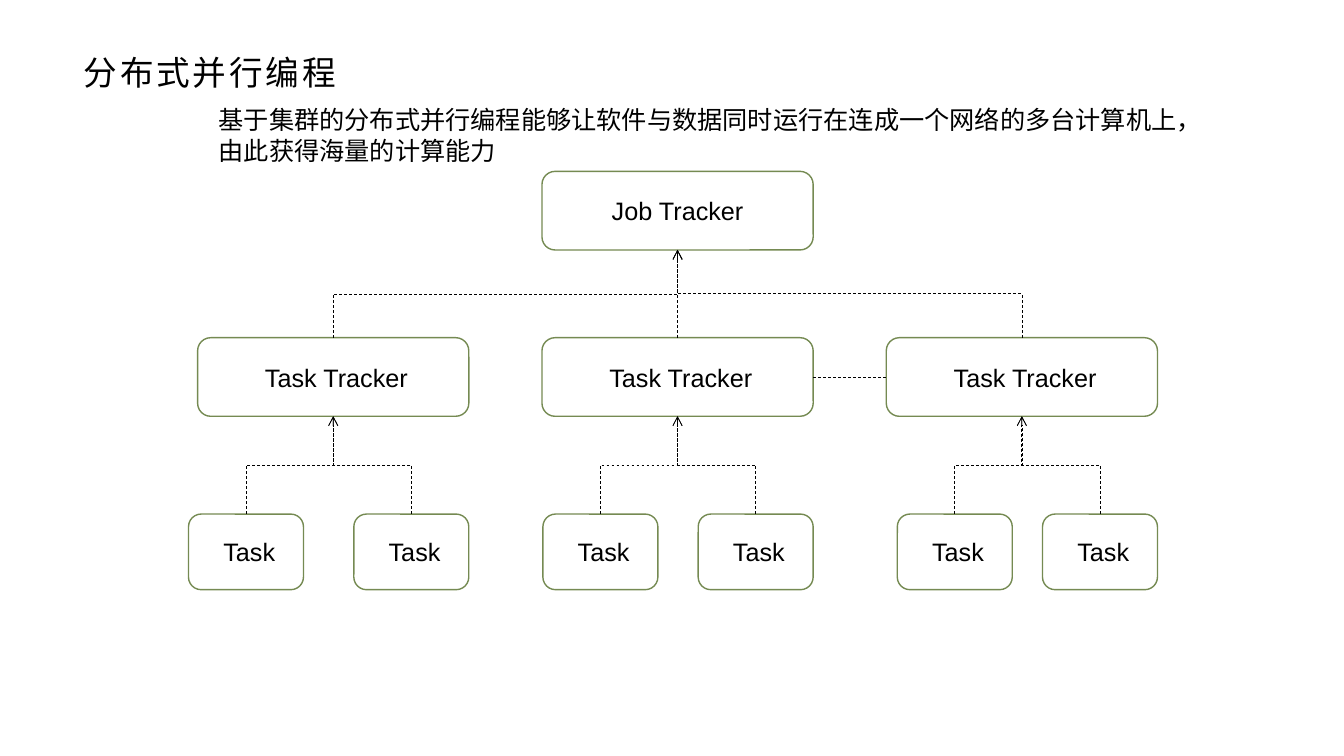
from dataclasses import dataclass

from lxml.etree import SubElement
from pptx import Presentation
from pptx.dml.color import RGBColor
from pptx.enum.dml import MSO_LINE
from pptx.enum.shapes import MSO_CONNECTOR as Wire, MSO_SHAPE as Shape
from pptx.enum.text import MSO_ANCHOR as Anchor, MSO_AUTO_SIZE as Fit, PP_ALIGN as Align
from pptx.oxml.ns import qn
from pptx.util import Inches, Pt

TITLE = "分布式并行编程"
INTRO = [
    "基于集群的分布式并行编程能够让软件与数据同时运行在连成一个网络的多台计算机上，",
    "由此获得海量的计算能力",
]
ROOT = "Job Tracker"
# One entry per tracker: its label, its two tasks and the gap between them
TREE = [
    (" Task Tracker", (" Task", " Task"), 0.5),
    (" Task Tracker", (" Task", " Task"), 0.4),
    (" Task Tracker", (" Task", " Task"), 0.3),
]

WIDE, HIGH = 13.33, 7.5
LEFT, PITCH = 1.96, 3.415      # first tracker column and column step
TOPS = 1.7, 3.35, 5.1          # the three rows of the tree
NODE = 2.69, 0.78
LEAF = 1.14, 0.75


@dataclass(frozen=True)
class Theme:
    font: str = "Arial"
    ink: RGBColor = RGBColor(0, 0, 0)
    paper: RGBColor = RGBColor(255, 255, 255)
    edge: RGBColor = RGBColor(0x75, 0x8A, 0x52)
    head: Pt = Pt(24)
    body: Pt = Pt(18)
    rim: Pt = Pt(1)
    wire: Pt = Pt(0.5)


theme = Theme()


def write(frame, lines, size, align):
    for i, line in enumerate(lines):
        para = frame.paragraphs[0] if i == 0 else frame.add_paragraph()
        para.text = line
        para.alignment = align
        para.font.name = theme.font
        para.font.size = size
        para.font.color.rgb = theme.ink


def box(slide, text, x, y, size):
    """Draw a labelled node and return its (left, top, width, height)."""
    shape = slide.shapes.add_shape(
        Shape.ROUNDED_RECTANGLE, *map(Inches, (x, y, *size)))
    shape.shadow.inherit = False
    shape.fill.solid()
    shape.fill.fore_color.rgb = theme.paper
    shape.line.color.rgb = theme.edge
    shape.line.width = theme.rim
    shape.text_frame.vertical_anchor = Anchor.MIDDLE
    write(shape.text_frame, [text], theme.body, Align.CENTER)
    return x, y, *size


def wire(slide, kind, *ends, arrow=True):
    """Draw a dashed connector between x1, y1, x2, y2."""
    line = slide.shapes.add_connector(kind, *map(Inches, ends))
    line.line.color.rgb = theme.ink
    line.line.width = theme.wire
    line.line.dash_style = MSO_LINE.DASH
    if arrow:
        SubElement(line.line._get_or_add_ln(), qn("a:tailEnd"), type="arrow")
    SubElement(line.element.spPr, qn("a:effectLst"))
    return line


def join(slide, child, parent):
    """Run an arrow from the child's top up to the parent's bottom."""
    x1, y1 = child[0] + child[2] / 2, child[1]
    x2, y2 = parent[0] + parent[2] / 2, parent[1] + parent[3]
    if abs(x2 - x1) < 0.02:
        wire(slide, Wire.STRAIGHT, x2, y1, x2, y2)
        return
    # An elbow leaves sideways, so lay it flat and turn it a quarter left
    midx, midy = (x1 + x2) / 2, (y1 + y2) / 2
    run, rise = (y1 - y2) / 2, (x2 - x1) / 2
    line = wire(slide, Wire.ELBOW, midx - run, midy - rise, midx + run, midy + rise)
    line.element.spPr.find(qn("a:xfrm")).set("rot", str(270 * 60000))


def head(slide):
    title = slide.shapes.title
    title.left, title.top, title.width, title.height = map(
        Inches, (0.73, 0.48, 11.87, 0.48))
    frame = title.text_frame
    frame.auto_size = Fit.NONE
    frame.vertical_anchor = Anchor.MIDDLE
    write(frame, [TITLE], theme.head, Align.LEFT)
    frame.paragraphs[0].runs[0].font._element.set("spc", "200")

    intro = slide.shapes.add_textbox(*map(Inches, (2.07, 0.99, 9.95, 0.71)))
    intro.text_frame.word_wrap = False
    intro.text_frame.auto_size = Fit.SHAPE_TO_FIT_TEXT
    write(intro.text_frame, INTRO, theme.body, Align.LEFT)


def tree(slide):
    root = box(slide, ROOT, LEFT + PITCH, TOPS[0], NODE)
    nodes = []
    for col, (name, tasks, gap) in enumerate(TREE):
        x = LEFT + col * PITCH
        node = box(slide, name, x, TOPS[1], NODE)
        join(slide, node, root)
        nodes.append(node)
        # Tasks line up with the right edge of their tracker
        for back, task in enumerate(reversed(tasks)):
            left = x + NODE[0] - LEAF[0] - back * (LEAF[0] + gap)
            join(slide, box(slide, task, left, TOPS[2], LEAF), node)

    mid, last = nodes[-2:]
    y = TOPS[1] + NODE[1] / 2
    wire(slide, Wire.STRAIGHT, mid[0] + NODE[0], y, last[0], y, arrow=False)


def main():
    deck = Presentation()
    deck.slide_width, deck.slide_height = Inches(WIDE), Inches(HIGH)
    slide = deck.slides.add_slide(deck.slide_layouts[5])
    head(slide)
    tree(slide)
    deck.save("out.pptx")


if __name__ == "__main__":
    main()
